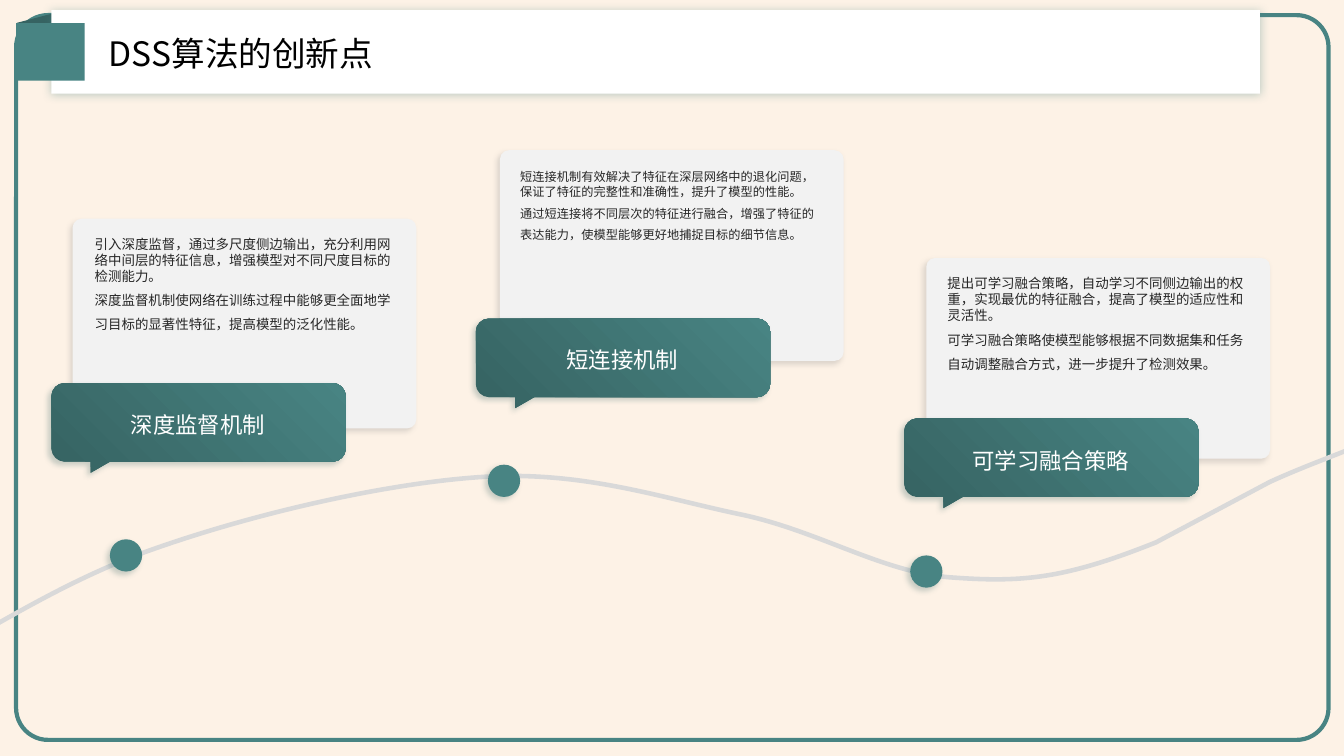
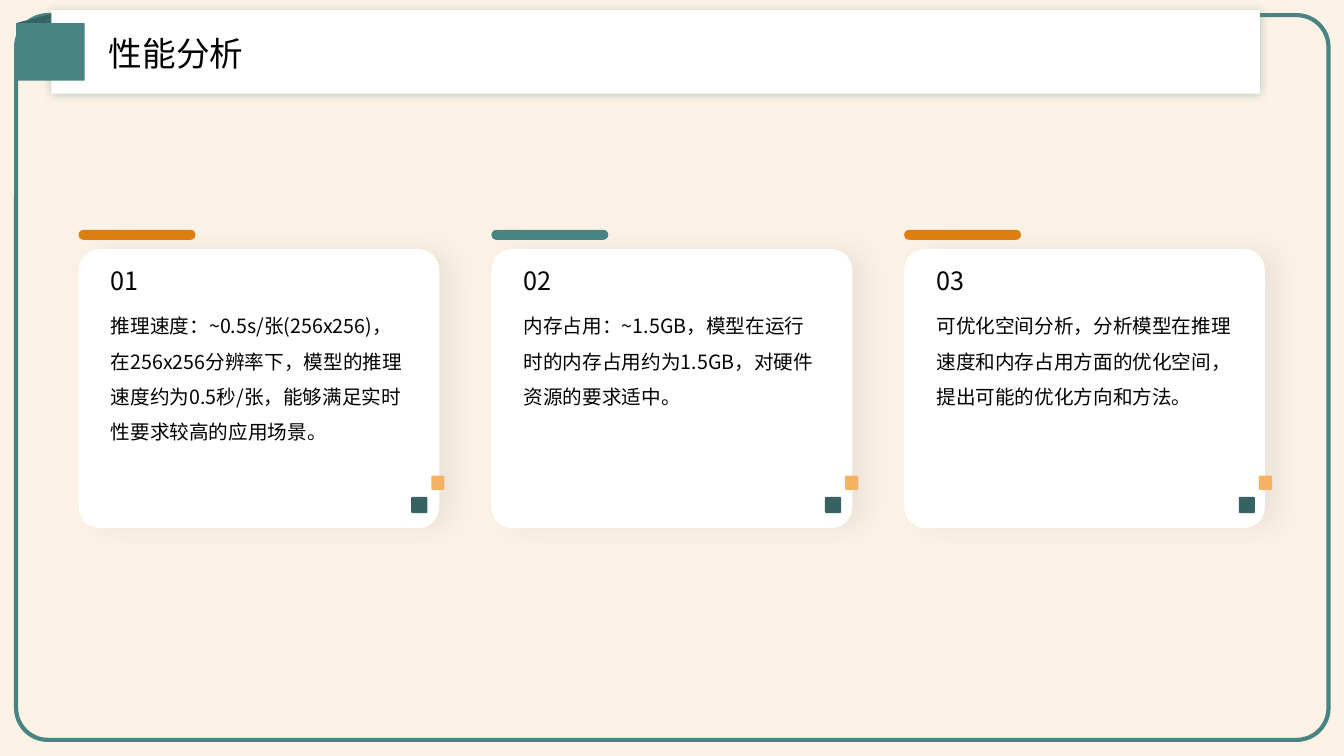
from lxml.etree import SubElement
from pptx import Presentation
from pptx.dml.color import RGBColor
from pptx.enum.shapes import MSO_SHAPE
from pptx.enum.text import MSO_ANCHOR, MSO_AUTO_SIZE, PP_ALIGN
from pptx.oxml.ns import qn
from pptx.util import Inches, Pt

# Shared style
SLIDE_WIDTH, SLIDE_HEIGHT = 40 / 3, 7.5
FONT = "Noto Sans CJK SC"
TEAL, DARK_TEAL = "488483", "366362"
ORANGE, LIGHT_ORANGE = "DD7E0E", "F5B264"
CREAM, WHITE, BLACK = "FCE5CB", "FFFFFF", "000000"
LIGHT_GRAY, CURVE_GRAY, TEXT_GRAY = "F2F2F2", "D9D9D9", "262626"

# Shadows: colour, opacity in percent, blur and distance in points, direction
TEAL_SHADOW = (DARK_TEAL, 25, 4, 3, 135)
GRAY_SHADOW = ("808080", 25, 4, 3, 135)
BAND_SHADOW = (TEAL, 36, 7, 0, 0)
SOFT_SHADOW = ("A6A6A6", 20, 20, 10, 0)

# Curve: each segment is one line end, or two controls and an end
CURVE_START = (-0.8, 6.61)
CURVE_SEGMENTS = [
    [(-0.22, 6.33), (0.51, 5.82), (1.43, 5.48)],
    [(2.45, 5.11), (3.82, 4.79), (4.81, 4.73)],
    [(5.8, 4.67), (6.6, 4.95), (7.38, 5.11)],
    [(8.15, 5.28), (8.78, 5.69), (9.46, 5.73)],
    [(10.15, 5.78), (10.57, 5.74), (11.47, 5.38)],
    [(12.6, 4.78)],
    [(12.93, 4.63), (13.24, 4.52), (13.43, 4.44)],
    [(13.45, 4.43), (13.51, 4.42), (13.51, 4.42)],
]
CURVE_DOTS = [(1.09, 5.35), (4.84, 4.61), (9.03, 5.51)]

# Innovations: card, callout corner, label box, text corner, text size, label, text
INNOVATIONS = [
    ((0.72, 2.17, 3.41, 2.08), (0.51, 3.8), (0.63, 3.81, 2.67, 0.76),
     (0.94, 2.34), 9.6, "深度监督机制",
     "引入深度监督，通过多尺度侧边输出，充分利用网络中间层的特征信息，增强模型对不同尺度目标的检测能力。\n"
     "深度监督机制使网络在训练过程中能够更全面地学习目标的显著性特征，提高模型的泛化性能。"),
    ((4.96, 1.49, 3.41, 2.09), (4.72, 3.16), (4.74, 3.12, 2.87, 0.85),
     (5.16, 1.68), 8.7, "短连接机制",
     "短连接机制有效解决了特征在深层网络中的退化问题，保证了特征的完整性和准确性，提升了模型的性能。\n"
     "通过短连接将不同层次的特征进行融合，增强了特征的表达能力，使模型能够更好地捕捉目标的细节信息。"),
    ((9.19, 2.56, 3.41, 1.99), (8.97, 4.15), (8.99, 4.16, 2.87, 0.76),
     (9.4, 2.73), 9.6, "可学习融合策略",
     "提出可学习融合策略，自动学习不同侧边输出的权重，实现最优的特征融合，提高了模型的适应性和灵活性。\n"
     "可学习融合策略使模型能够根据不同数据集和任务自动调整融合方式，进一步提升了检测效果。"),
]

ANALYSES = [
    (ORANGE, "推理速度：~0.5s/张(256x256)，在256x256分辨率下，模型的推理速度约为0.5秒/张，能够满足实时性要求较高的应用场景。"),
    (TEAL, "内存占用：~1.5GB，模型在运行时的内存占用约为1.5GB，对硬件资源的要求适中。"),
    (ORANGE, "可优化空间分析，分析模型在推理速度和内存占用方面的优化空间，提出可能的优化方向和方法。"),
]


def rgb(value):
    return RGBColor.from_string(value)


def set_opacity(color_element, percent):
    SubElement(color_element, qn("a:alpha"), val=str(percent * 1000))


def set_shadow(shape, shadow):
    shape.shadow.inherit = False
    if shadow is None:
        return
    color, opacity, blur, distance, direction = shadow
    effects = shape.element.spPr.find(qn("a:effectLst"))
    outer = SubElement(effects, qn("a:outerShdw"), blurRad=str(Pt(blur)),
                       dist=str(Pt(distance)), dir=str(direction * 60000),
                       algn="ctr", rotWithShape="0")
    set_opacity(SubElement(outer, qn("a:srgbClr"), val=color), opacity)


def style_shape(shape, fill=None, line=None, line_width=3, shadow=None):
    if fill:
        shape.fill.solid()
        shape.fill.fore_color.rgb = rgb(fill)
    else:
        shape.fill.background()
    if line:
        shape.line.color.rgb = rgb(line)
        shape.line.width = Pt(line_width)
    else:
        shape.line.fill.background()
    set_shadow(shape, shadow)


def add_box(slide, left, top, width, height, kind=MSO_SHAPE.RECTANGLE,
            rounding=None, **style):
    shape = slide.shapes.add_shape(kind, Inches(left), Inches(top),
                                   Inches(width), Inches(height))
    if rounding is not None:
        shape.adjustments[0] = rounding
    style_shape(shape, **style)
    return shape


def add_rounded(slide, left, top, width, height, rounding, **style):
    return add_box(slide, left, top, width, height,
                   MSO_SHAPE.ROUNDED_RECTANGLE, rounding, **style)


def write_text(frame, text, size, color=BLACK, align=PP_ALIGN.LEFT,
               anchor=MSO_ANCHOR.TOP, spacings=(1.1,)):
    """Write one paragraph per line of text, each with its own line spacing."""
    frame.word_wrap = True
    frame.auto_size = MSO_AUTO_SIZE.NONE
    frame.vertical_anchor = anchor
    frame.margin_left = frame.margin_right = 0
    frame.margin_top = frame.margin_bottom = 0
    for index, (line, spacing) in enumerate(zip(text.split("\n"), spacings)):
        paragraph = frame.add_paragraph() if index else frame.paragraphs[0]
        paragraph.alignment = align
        paragraph.line_spacing = spacing
        paragraph.space_before = paragraph.space_after = Pt(0)
        run = paragraph.add_run()
        run.text = line
        run.font.size = Pt(size)
        run.font.color.rgb = rgb(color)
        run.font.name = FONT
        SubElement(run._r.get_or_add_rPr(), qn("a:ea"), typeface=FONT)


def add_text(slide, left, top, width, height, text, size, **text_format):
    box = slide.shapes.add_textbox(Inches(left), Inches(top),
                                   Inches(width), Inches(height))
    write_text(box.text_frame, text, size, **text_format)


def add_outline(slide, start, segments, close, **style):
    """Draw line segments, then turn each group of three points into a curve."""
    points = [(Inches(x), Inches(y)) for segment in segments for x, y in segment]
    builder = slide.shapes.build_freeform(Inches(start[0]), Inches(start[1]))
    builder.add_line_segments(points, close=close)
    shape = builder.convert_to_shape()
    lines = iter(list(shape.element.spPr.iter(qn("a:lnTo"))))
    for segment in segments:
        group = [next(lines) for _ in segment]
        if len(group) == 3:
            curve = group[0].makeelement(qn("a:cubicBezTo"))
            group[0].addprevious(curve)
            for line in group:
                curve.append(line[0])
                line.getparent().remove(line)
    style_shape(shape, **style)
    return shape


def add_callout(slide, left, top):
    radius, control = 0.13, 0.06
    right, bottom = left + 2.92, top + 0.78
    segments = [
        [(right - radius, top)],
        [(right - control, top), (right, top + control), (right, top + radius)],
        [(right, bottom - radius)],
        [(right, bottom - control), (right - control, bottom), (right - radius, bottom)],
        [(left + 0.58, bottom)],
        [(left + 0.39, bottom + 0.11)],
        [(left + 0.39, bottom)],
        [(left + radius, bottom)],
        [(left + control, bottom), (left, bottom - control), (left, bottom - radius)],
        [(left, top + radius)],
        [(left, top + control), (left + control, top), (left + radius, top)],
    ]
    callout = add_outline(slide, (left + radius, top), segments, close=True,
                          fill=TEAL, shadow=TEAL_SHADOW)
    callout.fill.gradient()
    callout.fill.gradient_angle = 45
    for stop, color in zip(callout.fill.gradient_stops, (DARK_TEAL, TEAL)):
        stop.color.rgb = rgb(color)


def start_slide(presentation):
    slide = presentation.slides.add_slide(presentation.slide_layouts[5])
    backdrop = add_box(slide, 0, 0, SLIDE_WIDTH, SLIDE_HEIGHT, fill=CREAM)
    set_opacity(backdrop.element.spPr.find(qn("a:solidFill"))[0], 48)
    add_rounded(slide, 0.16, 0.15, 13.02, 7.19, 0.044, line=TEAL)
    return slide


def add_title_band(slide, text):
    fold = add_box(slide, 0.22, 0.16, 0.47, 0.47, fill=DARK_TEAL)
    fold.rotation = 345.4
    band = add_box(slide, 0.51, 0.1, 11.99, 0.83, fill=WHITE, shadow=BAND_SHADOW)
    title = slide.shapes.title
    title.left, title.top = Inches(1.08), Inches(0.24)
    title.width, title.height = Inches(8.51), Inches(0.54)
    write_text(title.text_frame, text, 24, anchor=MSO_ANCHOR.MIDDLE)
    band.element.addnext(title.element)  # lift the title above its band
    add_box(slide, 0.16, 0.23, 0.68, 0.57, fill=TEAL)


def build_innovations(presentation):
    slide = start_slide(presentation)
    add_outline(slide, CURVE_START, CURVE_SEGMENTS, close=False,
                line=CURVE_GRAY, line_width=3.25)
    for left, top in CURVE_DOTS:
        add_box(slide, left, top, 0.32, 0.32, MSO_SHAPE.OVAL,
                fill=TEAL, shadow=TEAL_SHADOW)
    for card, callout, label_box, text_corner, size, label, text in INNOVATIONS:
        add_rounded(slide, *card, 0.043, fill=LIGHT_GRAY, shadow=GRAY_SHADOW)
        add_callout(slide, *callout)
        add_text(slide, *label_box, label, 16, color=WHITE, align=PP_ALIGN.CENTER,
                 anchor=MSO_ANCHOR.MIDDLE, spacings=(1.2,))
        add_text(slide, *text_corner, 2.96, 0.99, text, size, color=TEXT_GRAY,
                 spacings=(Pt(size * 1.2), Pt(size * 1.8)))
    add_title_band(slide, "DSS算法的创新点")


def build_analysis(presentation):
    slide = start_slide(presentation)
    for index, (color, text) in enumerate(ANALYSES):
        left = 0.78 + index * 8.19 / 2
        add_rounded(slide, left, 2.47, 3.58, 2.77, 0.076, fill=WHITE, shadow=SOFT_SHADOW)
        add_rounded(slide, left, 2.28, 1.16, 0.1, 0.5, fill=color)
        add_text(slide, left + 0.32, 3, 2.94, 1.58, text, 14, spacings=(Pt(25.2),))
        add_text(slide, left + 0.32, 2.54, 2.94, 0.39, f"{index + 1:02}", 18,
                 anchor=MSO_ANCHOR.BOTTOM)
        square_left = 4.08 + index * 8.21 / 2
        add_rounded(slide, square_left + 0.2, 4.72, 0.13, 0.14, 0.078, fill=LIGHT_ORANGE)
        add_rounded(slide, square_left, 4.93, 0.16, 0.16, 0.078, fill=DARK_TEAL)
    add_title_band(slide, "性能分析")


def main():
    presentation = Presentation()
    presentation.slide_width = Inches(SLIDE_WIDTH)
    presentation.slide_height = Inches(SLIDE_HEIGHT)
    build_innovations(presentation)
    build_analysis(presentation)
    presentation.save("out.pptx")


if __name__ == "__main__":
    main()
